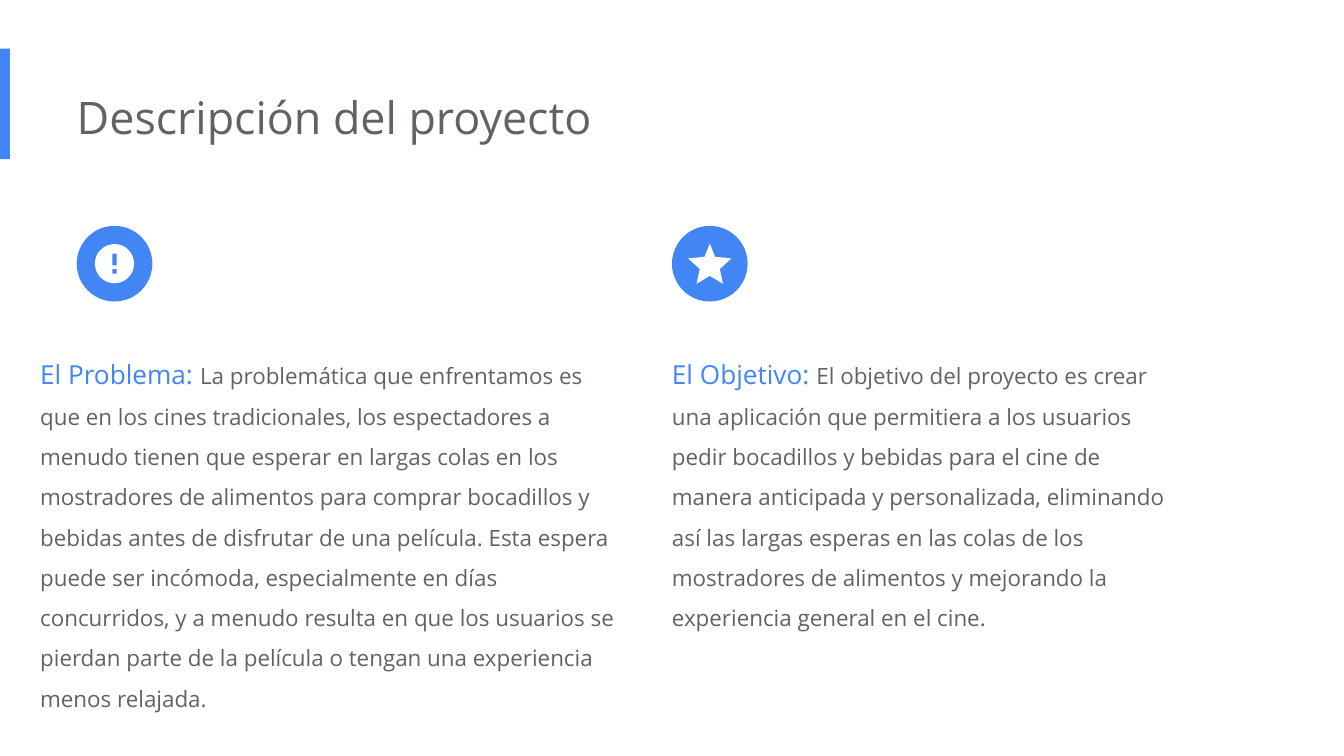
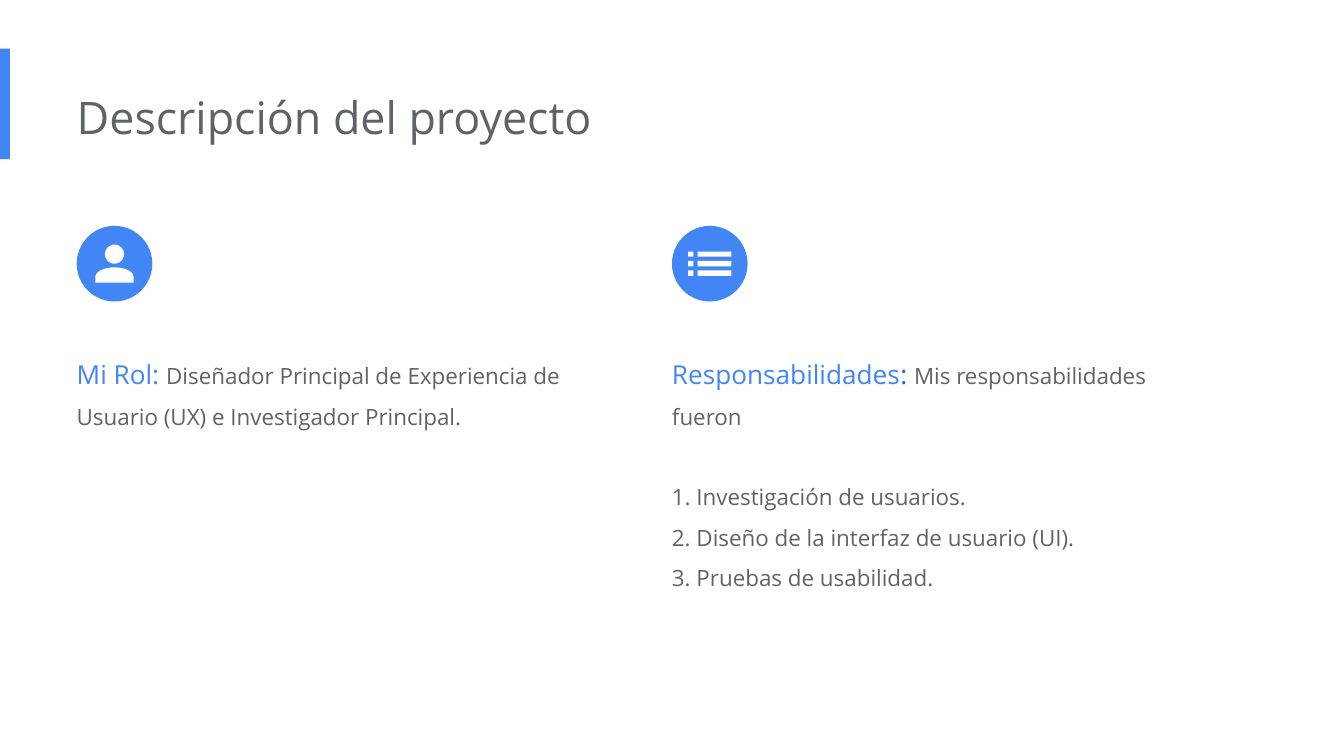
import math

import pptx
import pptx.dml.color
import pptx.enum.shapes
import pptx.enum.text
import pptx.util

Cm, Pt = pptx.util.Cm, pptx.util.Pt
SHAPE = pptx.enum.shapes.MSO_SHAPE

FONT = "Open Sans"
COLORS = {
    name: pptx.dml.color.RGBColor.from_string(value)
    for name, value in {
        "blue": "4285F4",
        "deep_blue": "1967D2",
        "gray": "5F6368",
        "white": "FFFFFF",
    }.items()
}
MARGIN, RIGHT_COLUMN = 1.45, 12.7
BADGE_TOP, BADGE_SIZE = 4.27, 1.43
TEXT_TOP, TEXT_WIDTH = 6.22, 9.58


def arc(center_y, radius_x, radius_y, start=0, stop=360):
    """Points of an elliptical arc centred on the badge's vertical axis, angles in degrees."""
    angles = [math.radians(degree) for degree in range(start, stop + 1, 6)]
    return [(radius_x * math.cos(angle), center_y + radius_y * math.sin(angle)) for angle in angles]


def block(left, top, right, bottom):
    """Corners of a rectangle given by its edges."""
    return [(left, top), (left, bottom), (right, bottom), (right, top)]


# Icon contours, in centimetres from the badge centre
star_half = [(0, -0.38), (0.1, -0.13), (0.41, -0.1), (0.19, 0.1), (0.25, 0.38), (0, 0.23)]
ICONS = {
    "alert": [arc(0, 0.37, 0.37), block(-0.04, -0.19, 0.04, 0.03), block(-0.04, 0.1, 0.04, 0.19)],
    "star": [star_half + [(-x, y) for x, y in star_half[-2:0:-1]]],
    "person": [arc(-0.18, 0.18, 0.18), arc(0.25, 0.36, 0.18, 180, 360) + [(0.36, 0.36), (-0.36, 0.36)]],
    "list": [
        block(left, middle - 0.05, right, middle + 0.05)
        for middle in (-0.18, 0, 0.18)
        for left, right in ((-0.41, -0.31), (-0.23, 0.41))
    ],
}

# Each column: icon, badge left, text left, text width, text height, heading runs, body, list items
SLIDES = [
    [
        (
            "alert", MARGIN, 0.76, 11.3, 7.32,
            [("El Problema: ", "blue")],
            "La problemática que enfrentamos es que en los cines tradicionales, los espectadores "
            "a menudo tienen que esperar en largas colas en los mostradores de alimentos para "
            "comprar bocadillos y bebidas antes de disfrutar de una película. Esta espera puede "
            "ser incómoda, especialmente en días concurridos, y a menudo resulta en que los "
            "usuarios se pierdan parte de la película o tengan una experiencia menos relajada.",
            [],
        ),
        (
            "star", RIGHT_COLUMN, RIGHT_COLUMN, TEXT_WIDTH, 5.77,
            [("El Objetivo: ", "blue")],
            "El objetivo del proyecto es crear una aplicación que permitiera a los usuarios pedir "
            "bocadillos y bebidas para el cine de manera anticipada y personalizada, eliminando "
            "así las largas esperas en las colas de los mostradores de alimentos y mejorando la "
            "experiencia general en el cine.",
            [],
        ),
    ],
    [
        (
            "person", MARGIN, MARGIN, TEXT_WIDTH, 2.69,
            [("Mi Rol: ", "blue")],
            "Diseñador Principal de Experiencia de Usuario (UX) e Investigador Principal.",
            [],
        ),
        (
            "list", RIGHT_COLUMN, RIGHT_COLUMN, TEXT_WIDTH, 5,
            [("Responsabilidades", "blue"), (": ", "deep_blue")],
            "Mis responsabilidades fueron",
            [
                "1. Investigación de usuarios.",
                "2. Diseño de la interfaz de usuario (UI).",
                "3. Pruebas de usabilidad.",
            ],
        ),
    ],
]

deck = pptx.Presentation()
deck.slide_width, deck.slide_height = Cm(25.4), Cm(14.29)
layout = deck.slide_layouts[5]
for placeholder in list(layout.placeholders)[1:]:
    layout.shapes.element.remove(placeholder.element)
pages = [deck.slides.add_slide(layout) for columns in SLIDES]

# The accent bar is drawn once and moved to the shared layout
bar = pages[0].shapes.add_shape(SHAPE.RECTANGLE, 0, Cm(0.92), Cm(0.19), Cm(2.09))
bar.shadow.inherit = False
bar.fill.solid()
bar.fill.fore_color.rgb = COLORS["blue"]
bar.line.fill.background()
layout.shapes.element.insert(2, bar.element)

for page, columns in zip(pages, SLIDES):
    title = page.shapes.title
    title.left, title.top, title.width, title.height = Cm(MARGIN), Cm(1.45), Cm(17.1), Cm(1.55)
    frame = title.text_frame
    frame.text = "Descripción del proyecto"
    frame.margin_left = 0
    frame.margin_top = frame.margin_right = frame.margin_bottom = Cm(0.25)
    frame.vertical_anchor = pptx.enum.text.MSO_ANCHOR.TOP
    frame.auto_size = pptx.enum.text.MSO_AUTO_SIZE.SHAPE_TO_FIT_TEXT
    frame.paragraphs[0].alignment = pptx.enum.text.PP_ALIGN.LEFT
    font = frame.paragraphs[0].runs[0].font
    font.name, font.size, font.color.rgb = FONT, Pt(24), COLORS["gray"]

    for icon, badge_left, text_left, width, height, heading, body, items in columns:
        badge = page.shapes.add_shape(
            SHAPE.OVAL, Cm(badge_left), Cm(BADGE_TOP), Cm(BADGE_SIZE), Cm(BADGE_SIZE)
        )
        center_x, center_y = badge_left + BADGE_SIZE / 2, BADGE_TOP + BADGE_SIZE / 2
        contours = [[(Cm(center_x + x), Cm(center_y + y)) for x, y in points] for points in ICONS[icon]]
        builder = page.shapes.build_freeform(*contours[0][0])
        builder.add_line_segments(contours[0][1:], close=True)
        for contour in contours[1:]:
            builder.move_to(*contour[0])
            builder.add_line_segments(contour[1:], close=True)
        for shape, color in ((badge, "blue"), (builder.convert_to_shape(), "white")):
            shape.shadow.inherit = False
            shape.fill.solid()
            shape.fill.fore_color.rgb = COLORS[color]
            shape.line.fill.background()

        box = page.shapes.add_textbox(Cm(text_left), Cm(TEXT_TOP), Cm(width), Cm(height))
        frame = box.text_frame
        frame.word_wrap = True
        frame.auto_size = pptx.enum.text.MSO_AUTO_SIZE.SHAPE_TO_FIT_TEXT
        frame.margin_left = 0
        frame.margin_top = frame.margin_right = frame.margin_bottom = Cm(0.25)
        lines = [[(text, 14, color) for text, color in heading] + [(body, 12, "gray")]]
        lines += [[(item, 12, "gray")] for item in items]
        for index, spans in enumerate(lines):
            para = frame.add_paragraph() if index else frame.paragraphs[0]
            para.line_spacing = 1.5
            if index == 1:
                para.space_before = Pt(21.6)
            for text, size, color in spans:
                span = para.add_run()
                span.text = text
                span.font.name, span.font.size = FONT, Pt(size)
                span.font.color.rgb = COLORS[color]

deck.save("out.pptx")
